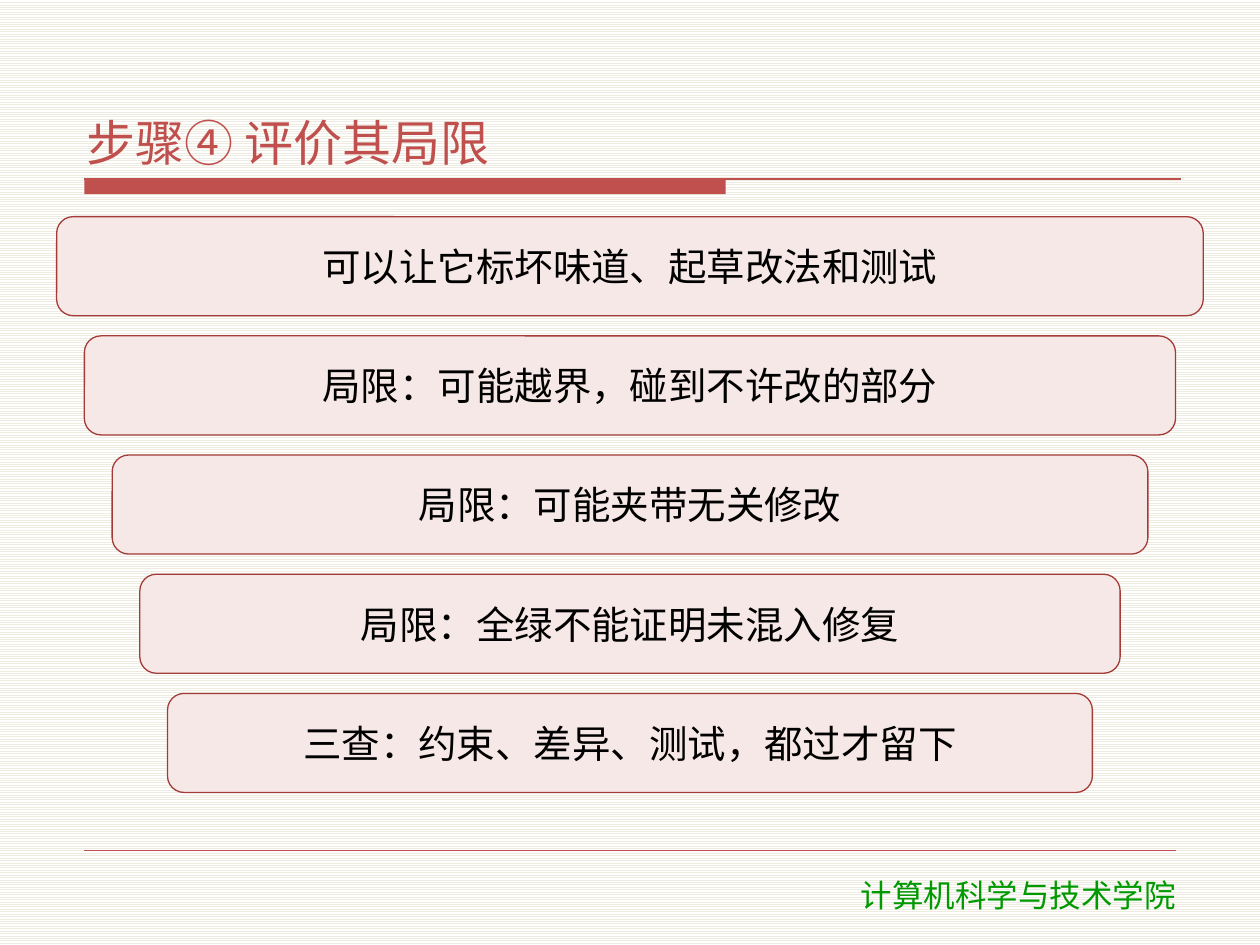
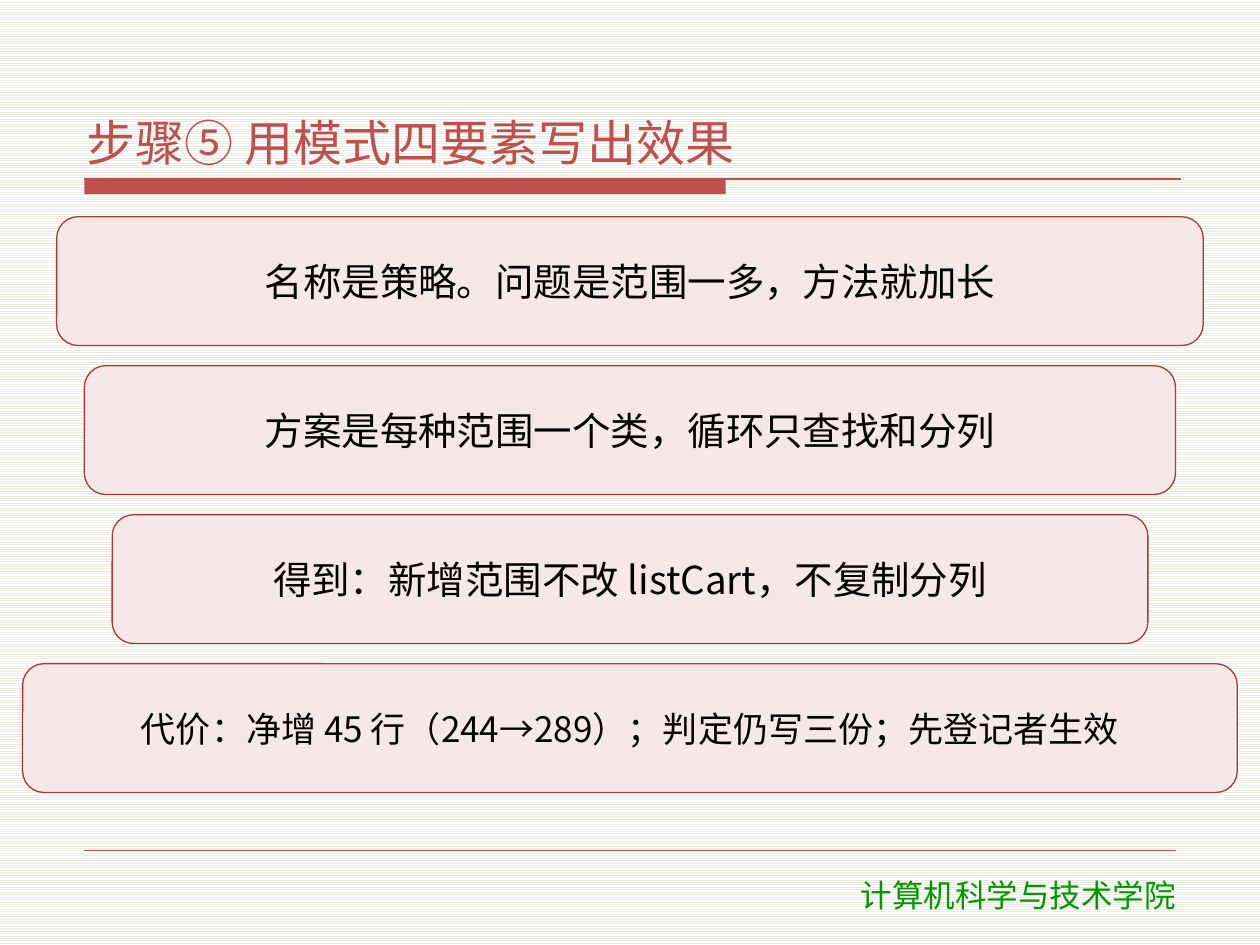
"""Build two lesson slides with a shared frame and stacks of narrowing cards."""
from dataclasses import dataclass

from lxml.etree import SubElement
from pptx import Presentation
from pptx.dml.color import RGBColor
from pptx.enum.dml import MSO_PATTERN
from pptx.enum.shapes import MSO_CONNECTOR, MSO_SHAPE
from pptx.enum.text import MSO_ANCHOR as Anchor, PP_ALIGN as Align
from pptx.oxml.ns import qn
from pptx.presentation import Presentation as Deck
from pptx.shapes.base import BaseShape as Shape
from pptx.slide import Slide
from pptx.util import Inches, Pt

RED = RGBColor(0xC0, 0x50, 0x4D)
EDGE = RGBColor(0xA3, 0x3B, 0x38)
PINK = RGBColor(0xF6, 0xE8, 0xE6)
GREEN = RGBColor(0x00, 0x99, 0x00)
BLACK = RGBColor(0x00, 0x00, 0x00)
CREAM = RGBColor(0xEE, 0xEC, 0xE1)
WHITE = RGBColor(0xFF, 0xFF, 0xFF)

WIDE, HIGH = Inches(10), Inches(7.5)
COLS, ROWS = 100, 75
TOP, END, GAP = 17.2, 62.9, 1.6
INSET, STEP = 4.5, 2.2
SCHOOL = "计算机科学与技术学院"


@dataclass(frozen=True)
class Box:
    """Place on the grid, in columns and rows."""
    x: float
    y: float
    w: float
    h: float

    def emu(self) -> tuple[int, int, int, int]:
        """Return left, top, width and height as lengths."""
        return (col(self.x), row(self.y), col(self.w), row(self.h))


@dataclass(frozen=True)
class Style:
    """Look of one line of text."""
    size: int
    color: RGBColor
    font: str = "Noto Sans CJK SC"
    align: Align = Align.CENTER
    anchor: Anchor = Anchor.MIDDLE
    pad: float = 0.06


@dataclass(frozen=True)
class Card:
    """Text of a card, with its own inset when it leaves the taper."""
    text: str
    inset: float | None = None
    style: Style = Style(22, BLACK)


@dataclass(frozen=True)
class Page:
    """Title and cards of a slide."""
    title: str
    cards: tuple[Card, ...]


TITLE = Style(28, RED, align=Align.LEFT, anchor=Anchor.BOTTOM)
FOOT = Style(18, GREEN, font="DejaVu Sans")
DENSE = Style(20, BLACK, pad=0.02)

PAGES = (
    Page("步骤④ 评价其局限", (
        Card("可以让它标坏味道、起草改法和测试"),
        Card("局限：可能越界，碰到不许改的部分"),
        Card("局限：可能夹带无关修改"),
        Card("局限：全绿不能证明未混入修复"),
        Card("三查：约束、差异、测试，都过才留下"),
    )),
    Page("步骤⑤ 用模式四要素写出效果", (
        Card("名称是策略。问题是范围一多，方法就加长"),
        Card("方案是每种范围一个类，循环只查找和分列"),
        Card("得到：新增范围不改 listCart，不复制分列"),
        Card("代价：净增 45 行（244→289）；判定仍写三份；先登记者生效", 1.8, DENSE),
    )),
)


def col(n: float) -> int:
    """Turn columns into a length."""
    return round(WIDE * n / COLS)


def row(n: float) -> int:
    """Turn rows into a length."""
    return round(HIGH * n / ROWS)


def write(shape: Shape, text: str, style: Style) -> None:
    """Put one styled paragraph into a shape."""
    frame = shape.text_frame
    frame.word_wrap = True
    frame.vertical_anchor = style.anchor
    frame.margin_left = frame.margin_right = Inches(style.pad)
    frame.margin_top = frame.margin_bottom = Inches(0.02)
    para = frame.paragraphs[0]
    para.text = text
    para.alignment = style.align
    para.space_after = Pt(2)
    font = para.font
    font.size = Pt(style.size)
    font.color.rgb = style.color
    font.name = style.font
    props = para._p.pPr.find(qn("a:defRPr"))
    SubElement(props, qn("a:ea")).set("typeface", style.font)


def label(slide: Slide, box: Box, text: str, style: Style) -> None:
    """Add a text box."""
    write(slide.shapes.add_textbox(*box.emu()), text, style)


def block(slide: Slide, kind: MSO_SHAPE, box: Box, fill: RGBColor) -> Shape:
    """Add a flat filled shape without a line."""
    shape = slide.shapes.add_shape(kind, *box.emu())
    shape.shadow.inherit = False
    shape.fill.solid()
    shape.fill.fore_color.rgb = fill
    shape.line.fill.background()
    return shape


def rule(slide: Slide, end: float, y: float, width: float) -> None:
    """Add a level red line from the left margin."""
    line = slide.shapes.add_connector(
        MSO_CONNECTOR.STRAIGHT, col(6.7), row(y), col(end), row(y))
    line.line.color.rgb = RED
    line.line.width = Pt(width)
    SubElement(line._element.spPr, qn("a:effectLst"))


def base(slide: Slide) -> None:
    """Draw the ground, band, rules and footer."""
    fill = slide.background.fill
    fill.patterned()
    fill.pattern = MSO_PATTERN.LIGHT_HORIZONTAL
    fill.fore_color.rgb = CREAM
    fill.back_color.rgb = WHITE
    block(slide, MSO_SHAPE.RECTANGLE, Box(6.7, 14.2, 50.9, 1.2), RED)
    rule(slide, 93.7, 14.2, 0.75)
    rule(slide, 93.3, 67.5, 0.25)
    label(slide, Box(61.6, 69, 38.4, 4), SCHOOL, FOOT)


def stack(slide: Slide, cards: tuple[Card, ...]) -> None:
    """Share the body height among cards that taper downwards."""
    high = (END - TOP + GAP) / len(cards) - GAP
    for i, card in enumerate(cards):
        x = INSET + STEP * i if card.inset is None else card.inset
        box = Box(x, TOP + i * (high + GAP), COLS - 2 * x, high)
        shape = block(slide, MSO_SHAPE.ROUNDED_RECTANGLE, box, PINK)
        shape.line.color.rgb = EDGE
        shape.line.width = Pt(0.75)
        write(shape, card.text, card.style)


def build(deck: Deck, page: Page) -> None:
    """Add one slide."""
    slide = deck.slides.add_slide(deck.slide_layouts[6])
    base(slide)
    label(slide, Box(6.3, 3.3, 87.5, 10.5), page.title, TITLE)
    stack(slide, page.cards)


def main() -> None:
    """Build and save the deck."""
    deck = Presentation()
    deck.slide_width, deck.slide_height = WIDE, HIGH
    for page in PAGES:
        build(deck, page)
    deck.save("out.pptx")


if __name__ == "__main__":
    main()
